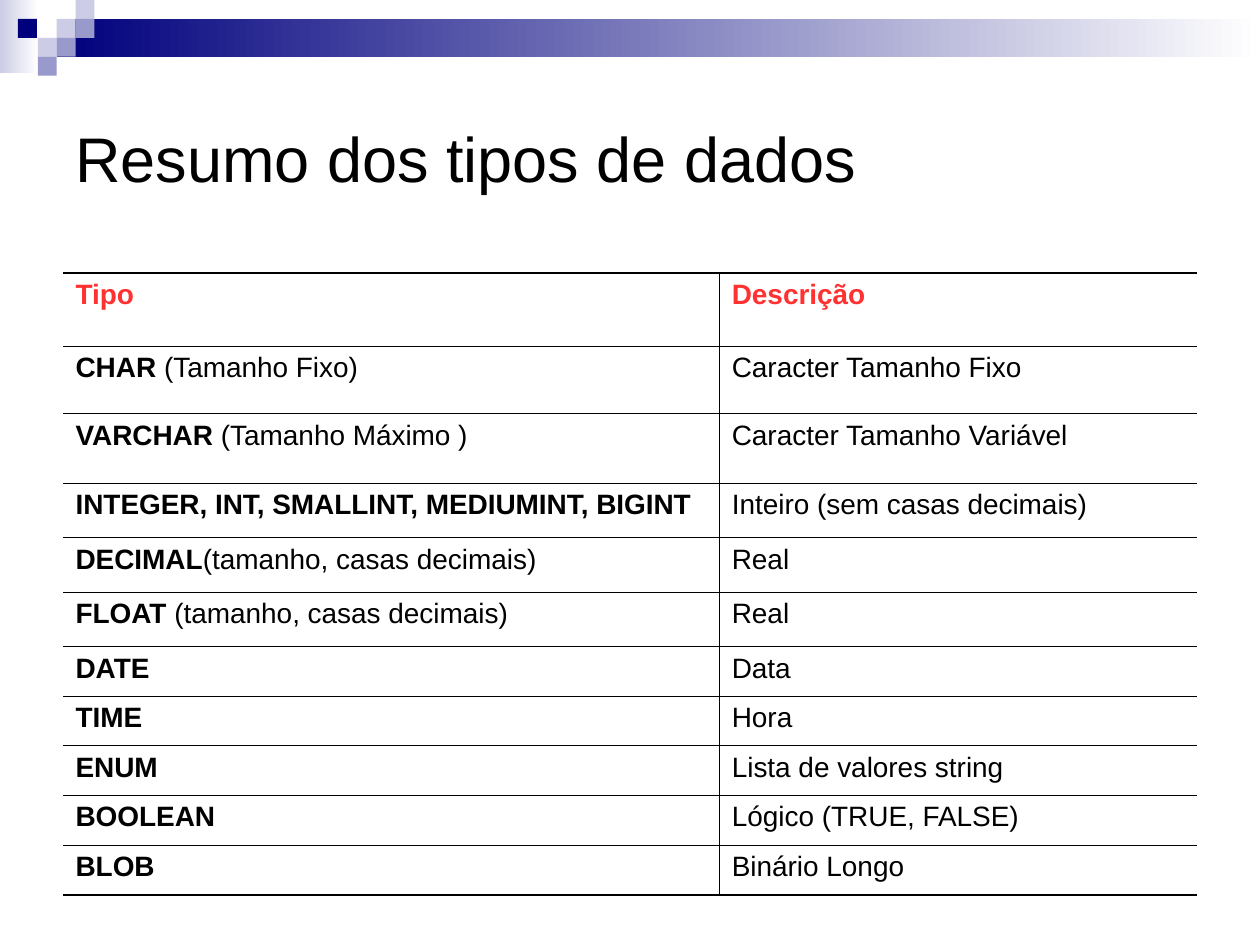
"""Build the slide that sums up the SQL data types in a table."""
from lxml import etree
from pptx import Presentation
from pptx.dml.color import RGBColor
from pptx.enum.shapes import MSO_SHAPE
from pptx.enum.text import MSO_ANCHOR
from pptx.oxml.ns import qn
from pptx.util import Pt

RECTANGLE = MSO_SHAPE.RECTANGLE
MIDDLE = MSO_ANCHOR.MIDDLE
BLACK, RED, WHITE = "000000", "FF3131", "FFFFFF"
NAVY, LILAC, PALE = "00007D", "9999CC", "CCCCE6"
STEP = 10.8
THIN, THICK = 0.45, 1.08


def color(value):
    return RGBColor.from_string(value)


def add_block(left, top, width, height, *colors):
    block = slide.shapes.add_shape(RECTANGLE, Pt(left), Pt(top), Pt(width), Pt(height))
    block.shadow.inherit = False
    block.line.fill.background()
    if len(colors) == 1:
        block.fill.solid()
        block.fill.fore_color.rgb = color(colors[0])
    else:
        block.fill.gradient()
        block.fill.gradient_angle = 0
        for stop, value in zip(block.fill.gradient_stops, colors):
            stop.color.rgb = color(value)


deck = Presentation()
deck.slide_width, deck.slide_height = Pt(720), Pt(540)
slide = deck.slides.add_slide(deck.slide_layouts[6])

add_block(0, 0, 22, 41.8, PALE, WHITE)
add_block(32.4, STEP, 687.6, 2 * STEP, NAVY, WHITE)
squares = [(3, 1, PALE), (4, 0, PALE), (4, 1, LILAC), (2, 2, PALE),
           (0.95, 1, NAVY), (3, 2, LILAC), (2, 3, LILAC)]
for column, row, value in squares:
    add_block(column * STEP, row * STEP, STEP, STEP, value)

title = slide.shapes.add_textbox(Pt(36), Pt(36), Pt(648), Pt(108))
title.text_frame.word_wrap = True
title.text_frame.vertical_anchor = MIDDLE
title.text_frame.text = "Resumo dos tipos de dados"
title_font = title.text_frame.paragraphs[0].runs[0].font
title_font.name, title_font.size = "Arial", Pt(36)
title_font.color.rgb = color(BLACK)

rows = [
    ("Tipo", "", "Descrição", 42),
    ("CHAR ", "(Tamanho Fixo)", "Caracter Tamanho Fixo", 38.4),
    ("VARCHAR ", "(Tamanho Máximo )", "Caracter Tamanho Variável", 39.8),
    ("INTEGER, INT, SMALLINT, MEDIUMINT, BIGINT", "", "Inteiro (sem casas decimais)", 31.1),
    ("DECIMAL", "(tamanho, casas decimais)", "Real", 31.1),
    ("FLOAT ", "(tamanho, casas decimais)", "Real", 31.1),
    ("DATE", "", "Data", 28.4),
    ("TIME", "", "Hora", 28.4),
    ("ENUM", "", "Lista de valores string", 28.4),
    ("BOOLEAN", "", "Lógico (TRUE, FALSE)", 28.4),
    ("BLOB", "", "Binário Longo", 28.4),
]
table_height = sum(row[-1] for row in rows)
table = slide.shapes.add_table(len(rows), 2, Pt(36), Pt(156), Pt(648), Pt(table_height)).table
table.columns[0].width, table.columns[1].width = Pt(375), Pt(273)

for row_index, (type_name, detail, description, height) in enumerate(rows):
    table.rows[row_index].height = Pt(height)
    is_header = row_index == 0
    is_last = row_index == len(rows) - 1
    contents = [[(type_name, True), (detail, False)], [(description, is_header)]]
    for column_index, pieces in enumerate(contents):
        cell = table.cell(row_index, column_index)
        cell.fill.background()
        para = cell.text_frame.paragraphs[0]
        for text, bold in pieces:
            if text:
                span = para.add_run()
                span.text = text
                span.font.name, span.font.size, span.font.bold = "Arial", Pt(16), bold
                span.font.color.rgb = color(RED if is_header else BLACK)
        borders = {
            "a:lnL": THIN if column_index == 1 else 0,
            "a:lnR": THIN if column_index == 0 else 0,
            "a:lnT": THICK if is_header else THIN,
            "a:lnB": THICK if is_last else THIN,
        }
        properties = cell._tc.get_or_add_tcPr()
        for position, (tag, width) in enumerate(borders.items()):
            line = etree.Element(qn(tag), w=str(Pt(width)))
            properties.insert(position, line)
            if width:
                fill = etree.SubElement(line, qn("a:solidFill"))
                etree.SubElement(fill, qn("a:srgbClr"), val=BLACK)
            else:
                etree.SubElement(line, qn("a:noFill"))

deck.save("out.pptx")
